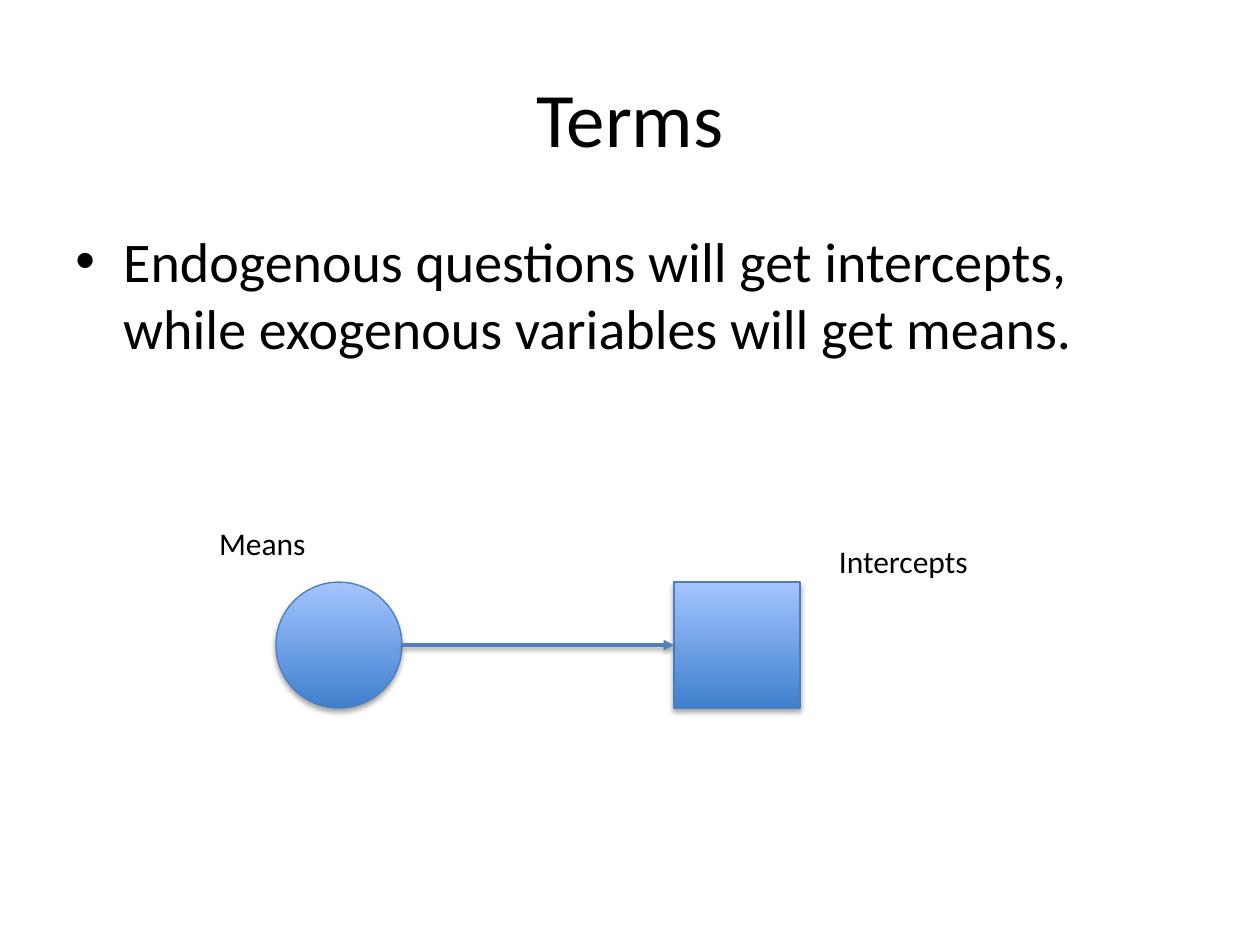
from dataclasses import dataclass

from lxml import etree
from pptx import Presentation
from pptx import util as u
from pptx.dml.color import RGBColor
from pptx.enum import shapes, text
from pptx.oxml.ns import qn

COLORS = {
    "text": "000000",
    "shadow": "000000",
    "fill_bottom": "3F80CE",
    "fill_top": "A4C4FF",
    "outline": "4B7EBC",
    "arrow": "4F81BD",
}
FONT = "Calibri"
NODE_SIZE = 1.0
NODE_TOP = 4.62


@dataclass
class Label:
    wording: str
    left: float
    top: float
    width: float
    height: float
    size: int
    wrap: bool = True
    anchor: text.MSO_ANCHOR = text.MSO_ANCHOR.TOP
    align: text.PP_ALIGN = text.PP_ALIGN.LEFT
    bullet: bool = False


@dataclass
class Node:
    kind: shapes.MSO_SHAPE
    left: float


LABELS = [
    Label("Terms", 0.5, 0.3, 9, 1.25, 44,
          anchor=text.MSO_ANCHOR.MIDDLE, align=text.PP_ALIGN.CENTER),
    Label("Endogenous questions will get intercepts, while exogenous variables will get means.",
          0.5, 1.75, 9, 4.95, 32, bullet=True),
    Label("Intercepts", 6.56, 4.25, 1.24, 0.4, 18, wrap=False),
    Label("Means", 1.64, 4.11, 0.9, 0.4, 18, wrap=False),
]
EXOGENOUS = Node(shapes.MSO_SHAPE.OVAL, 2.19)
ENDOGENOUS = Node(shapes.MSO_SHAPE.RECTANGLE, 5.35)


def rgb(name: str) -> RGBColor:
    return RGBColor.from_string(COLORS[name])


def add_bullet(paragraph) -> None:
    """Give the paragraph a round bullet with a hanging indent."""
    properties = paragraph._p.get_or_add_pPr()
    indent = u.Inches(0.38)
    properties.set("marL", str(indent))
    properties.set("indent", str(-indent))
    etree.SubElement(properties, qn("a:buFont"), typeface="Arial")
    etree.SubElement(properties, qn("a:buChar"), char="•")


def add_shadow(effects, distance: float, opacity: int) -> None:
    """Put a downward shadow into an a:effectLst element."""
    shadow = etree.SubElement(
        effects, qn("a:outerShdw"), blurRad=str(u.Pt(3.1)), dist=str(u.Pt(distance)),
        dir="5400000", rotWithShape="0")
    color = etree.SubElement(shadow, qn("a:srgbClr"), val=COLORS["shadow"])
    etree.SubElement(color, qn("a:alpha"), val=str(opacity * 1000))


def draw_label(slide, label: Label) -> None:
    place = (label.left, label.top, label.width, label.height)
    frame = slide.shapes.add_textbox(*map(u.Inches, place)).text_frame
    frame.word_wrap = label.wrap
    frame.vertical_anchor = label.anchor
    if not label.wrap:
        frame.auto_size = text.MSO_AUTO_SIZE.SHAPE_TO_FIT_TEXT
    paragraph = frame.paragraphs[0]
    paragraph.text = label.wording
    paragraph.alignment = label.align
    if label.bullet:
        add_bullet(paragraph)
    font = paragraph.runs[0].font
    for attribute, value in {"name": FONT, "size": u.Pt(label.size)}.items():
        setattr(font, attribute, value)
    font.color.rgb = rgb("text")


def draw_node(slide, node: Node):
    drawn = slide.shapes.add_shape(
        node.kind, *map(u.Inches, (node.left, NODE_TOP, NODE_SIZE, NODE_SIZE)))
    drawn.fill.gradient()
    drawn.fill.gradient_angle = 90
    for stop, color in zip(drawn.fill.gradient_stops, ("fill_bottom", "fill_top")):
        stop.color.rgb = rgb(color)
    drawn.line.color.rgb = rgb("outline")
    drawn.line.width = u.Pt(0.75)
    drawn.shadow.inherit = False
    add_shadow(drawn._element.spPr.find(qn("a:effectLst")), 1.8, 35)
    return drawn


def draw_arrow(slide, source: Node, target: Node, target_shape) -> None:
    middle = NODE_TOP + NODE_SIZE / 2
    ends = (source.left + NODE_SIZE, middle, target.left, middle)
    arrow = slide.shapes.add_connector(shapes.MSO_CONNECTOR.STRAIGHT, *map(u.Inches, ends))
    arrow.end_connect(target_shape, 1)
    arrow.line.color.rgb = rgb("arrow")
    arrow.line.width = u.Pt(2)
    etree.SubElement(arrow.line._get_or_add_ln(), qn("a:tailEnd"), type="triangle")
    effects = etree.SubElement(arrow._element.spPr, qn("a:effectLst"))
    add_shadow(effects, 1.6, 38)


def main() -> None:
    deck = Presentation()
    deck.slide_width, deck.slide_height = u.Inches(10), u.Inches(7.5)
    slide = deck.slides.add_slide(deck.slide_layouts[6])
    draw_node(slide, EXOGENOUS)
    endogenous_shape = draw_node(slide, ENDOGENOUS)
    draw_arrow(slide, EXOGENOUS, ENDOGENOUS, endogenous_shape)
    for label in LABELS:
        draw_label(slide, label)
    deck.save("out.pptx")


if __name__ == "__main__":
    main()
